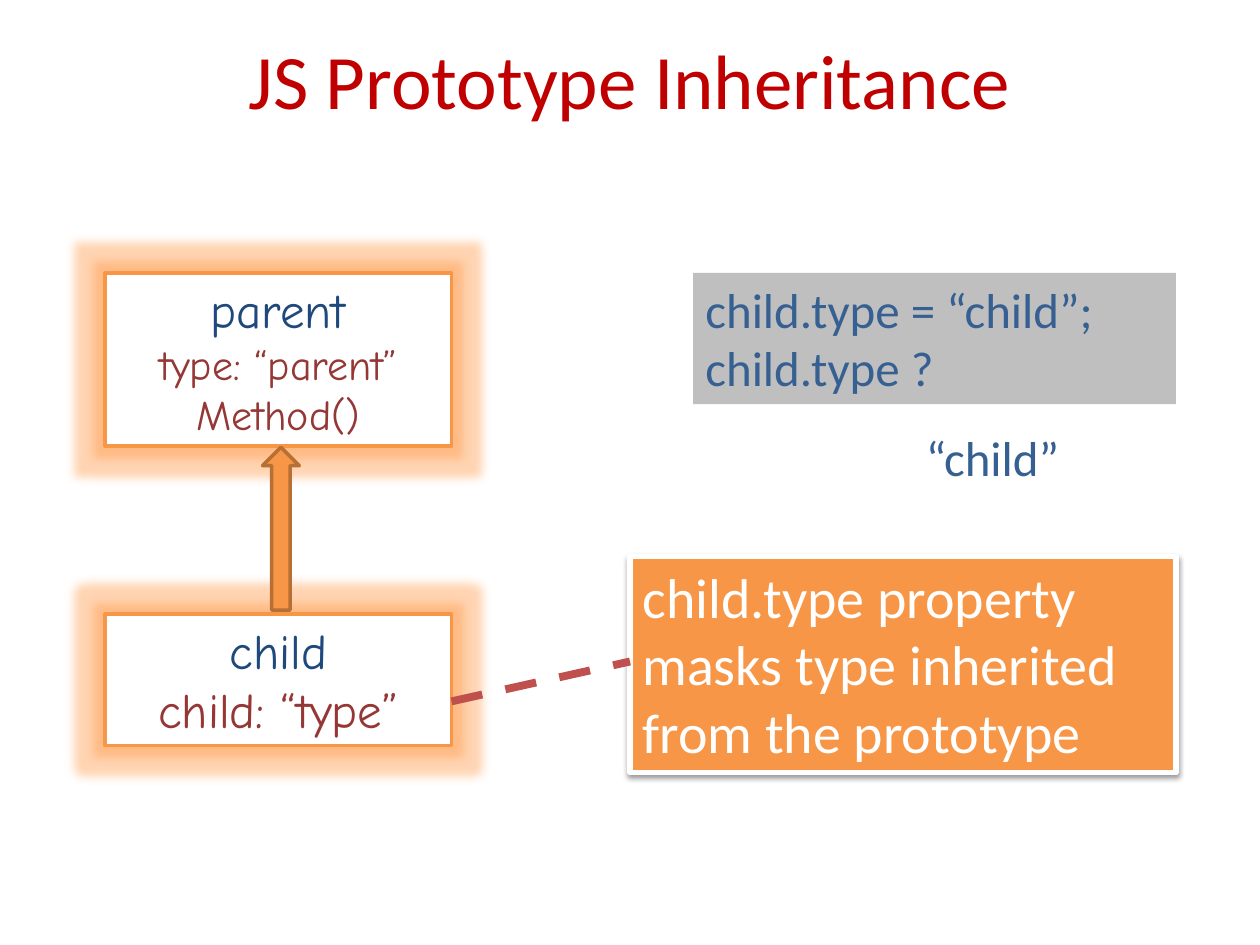
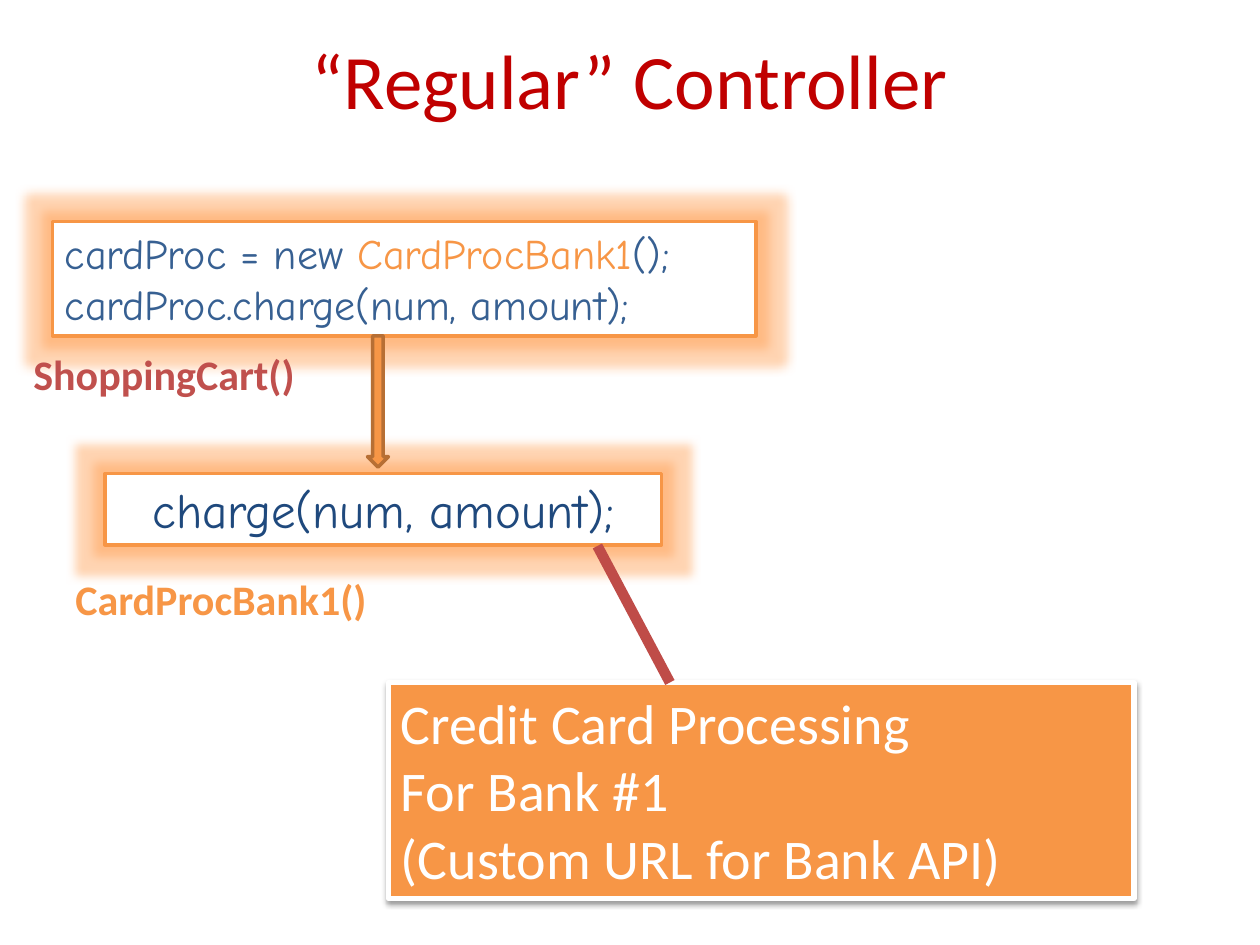
import pptx
import pptx.util
import pptx.dml.color
import pptx.enum.dml
import pptx.enum.shapes
import pptx.enum.text
import pptx.oxml
import pptx.oxml.ns

# Content: places are (left, top, width, height) in cells of a 120 x 90 grid.
# A line of text is a string, or (text, colour), or a list of such parts.
NAVY, BLUE, MAROON = "1F497D", "376092", "953735"
ORANGE, BROWN, RED, WHITE = "F79646", "B76F34", "C0504D", "FFFFFF"

SLIDES = [
    {
        "title": "JS Prototype Inheritance",
        "boxes": [
            ("object", (10, 26, 33, 16.5), [28, 24, 24],
             [("parent", NAVY), ("type: “parent”", MAROON), ("Method()", MAROON)]),
            ("object", (10, 58.5, 33, 12.5), [28, 28],
             [("child", NAVY), ("child: “type”", MAROON)]),
            ("code", (66, 26, 46, 12.5), [28, 28],
             [("child.type = “child”;", BLUE), ("child.type ?", BLUE)]),
            ("label", (87, 40.1, 22, 6.8), [28], [("“child”", BLUE)]),
            ("note", (60, 53, 52, 20.6), [32] * 3,
             [("child.type property", WHITE), ("masks type inherited", WHITE),
              ("from the prototype", WHITE)]),
        ],
        "arrow": ("UP_ARROW", (25, 42.6, 3.5, 15.5)),
        "pointer": ((43, 66.8), (60, 63), RED, 4.5, True),
    },
    {
        "title": "“Regular” Controller",
        "boxes": [
            ("listing", (5, 21.1, 67, 10.9), [24, 24],
             [[("cardProc = new ", BLUE), ("CardProcBank1", ORANGE), ("();", BLUE)],
              ("cardProc.charge(num, amount);", BLUE)]),
            ("object", (10, 45.1, 53, 6.8), [28], [("charge(num, amount);", NAVY)]),
            ("note", (37, 65, 71, 20.6), [32] * 3,
             [("Credit Card Processing", WHITE), ("For Bank #1", WHITE),
              ("(Custom URL for Bank API)", WHITE)]),
            ("caption", (2, 32.6, 28, 6), [24], [("ShoppingCart()", RED)]),
            ("caption", (6, 54, 31, 6), [24], [("CardProcBank1()", ORANGE)]),
        ],
        "arrow": ("DOWN_ARROW", (35, 32, 2, 12.5)),
        "pointer": ((56.9, 52), (63.8, 65), "BF4C48", 6, False),
    },
]

# Shared looks
GLOW = ('<a:glow rad="139700"><a:srgbClr val="FF9540">'
        '<a:alpha val="40000"/></a:srgbClr></a:glow>')
SHADOW = ('<a:outerShdw blurRad="40000" dist="20000" dir="5400000" rotWithShape="0">'
          '<a:srgbClr val="000000"><a:alpha val="38000"/></a:srgbClr></a:outerShdw>')
CARD = {"font": "Comic Neue", "fill": WHITE, "line": (ORANGE, 2), "effect": GLOW}
STYLES = {
    "title": {"font": "Calibri", "centred": True, "middle": True},
    "object": {**CARD, "centred": True},
    "listing": CARD,
    "code": {"font": "Calibri", "fill": "BFBFBF"},
    "note": {"font": "Calibri", "fill": ORANGE, "line": (WHITE, 3), "effect": SHADOW},
    "label": {"font": "Calibri"},
    "caption": {"font": "Calibri", "bold": True},
}
TITLE_PLACE = (6, 0, 108, 15)
SHAPE = pptx.enum.shapes.MSO_SHAPE


def cells(place):
    return [pptx.util.Inches(value / 12) for value in place]


def colour(hex_text):
    return pptx.dml.color.RGBColor.from_string(hex_text)


def set_effect(shape, effect=""):
    """Replace the theme's effect with the given one, or with none."""
    properties = shape._element.spPr
    for old in properties.findall(pptx.oxml.ns.qn("a:effectLst")):
        properties.remove(old)
    namespace = pptx.oxml.ns.nsdecls("a")
    properties.append(pptx.oxml.parse_xml(
        f"<a:effectLst {namespace}>{effect}</a:effectLst>"))


def paint(shape, fill, line=None, effect=""):
    shape.fill.solid()
    shape.fill.fore_color.rgb = colour(fill)
    if line:
        shape.line.color.rgb = colour(line[0])
        shape.line.width = pptx.util.Pt(line[1])
    else:
        shape.line.fill.background()
    set_effect(shape, effect)


def write(frame, style, sizes, lines):
    anchor = pptx.enum.text.MSO_ANCHOR
    align = pptx.enum.text.PP_ALIGN
    frame.word_wrap = True
    frame.vertical_anchor = anchor.MIDDLE if style.get("middle") else anchor.TOP
    for index, (size, line) in enumerate(zip(sizes, lines)):
        paragraph = frame.add_paragraph() if index else frame.paragraphs[0]
        paragraph.alignment = align.CENTER if style.get("centred") else align.LEFT
        paragraph.font.name = style["font"]
        paragraph.font.size = pptx.util.Pt(size)
        paragraph.font.bold = style.get("bold", False)
        parts = line if isinstance(line, list) else [line]
        paragraph.font.color.rgb = colour(parts[0][1])
        for text, part_colour in parts:
            run = paragraph.add_run()
            run.text = text
            if part_colour != parts[0][1]:
                run.font.color.rgb = colour(part_colour)


def add_box(slide, kind, place, sizes, lines):
    style = STYLES[kind]
    if "fill" in style:
        box = slide.shapes.add_shape(SHAPE.RECTANGLE, *cells(place))
        paint(box, style["fill"], style.get("line"), style.get("effect", ""))
    else:
        box = slide.shapes.add_textbox(*cells(place))
    write(box.text_frame, style, sizes, lines)


def add_pointer(slide, start, end, line_colour, width, dashed):
    pointer = slide.shapes.add_connector(
        pptx.enum.shapes.MSO_CONNECTOR.STRAIGHT, *cells(start + end))
    pointer.line.color.rgb = colour(line_colour)
    pointer.line.width = pptx.util.Pt(width)
    if dashed:
        pointer.line.dash_style = pptx.enum.dml.MSO_LINE.DASH
    set_effect(pointer)


def main():
    deck = pptx.Presentation()
    deck.slide_width, deck.slide_height = cells((120, 90))
    for content in SLIDES:
        slide = deck.slides.add_slide(deck.slide_layouts[6])
        add_box(slide, "title", TITLE_PLACE, [44], [(content["title"], "C00000")])
        for box in content["boxes"]:
            add_box(slide, *box)
        direction, place = content["arrow"]
        arrow = slide.shapes.add_shape(getattr(SHAPE, direction), *cells(place))
        paint(arrow, ORANGE, (BROWN, 2))
        add_pointer(slide, *content["pointer"])
    deck.save("out.pptx")


if __name__ == "__main__":
    main()
